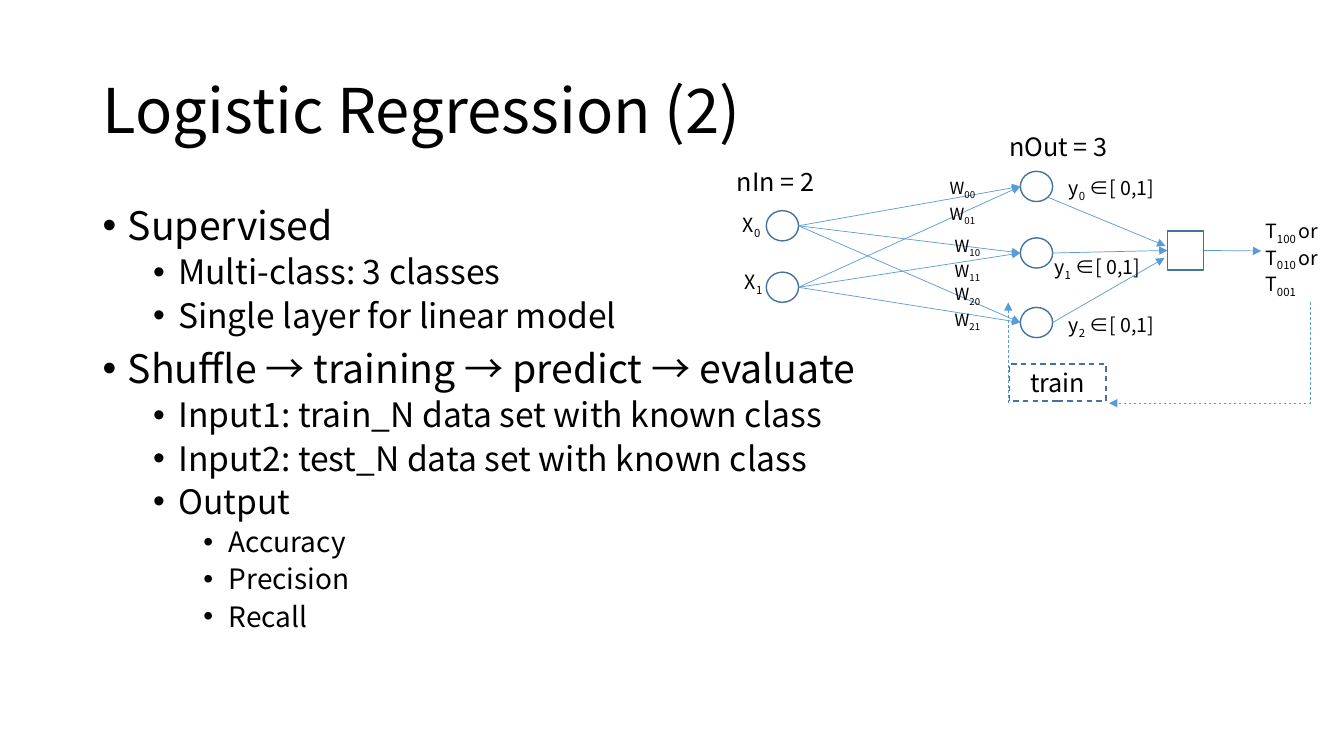
from dataclasses import dataclass
from itertools import product

from lxml.etree import SubElement
from pptx import Presentation
from pptx.dml.color import RGBColor
from pptx.enum.dml import MSO_LINE
from pptx.enum.shapes import MSO_CONNECTOR, MSO_SHAPE
from pptx.enum.text import MSO_ANCHOR, MSO_AUTO_SIZE, PP_ALIGN
from pptx.oxml.ns import qn
from pptx.shapes.base import BaseShape
from pptx.slide import Slide
from pptx.text.text import TextFrame, _Paragraph
from pptx.util import Inches, Pt

Point = tuple[float, float]


@dataclass(frozen=True)
class Theme:
    font: str = "Noto Sans CJK KR"
    text: RGBColor = RGBColor(0x00, 0x00, 0x00)
    fill: RGBColor = RGBColor(0xFF, 0xFF, 0xFF)
    outline: RGBColor = RGBColor(0x43, 0x73, 0x9E)
    arrow: RGBColor = RGBColor(0x5B, 0x9B, 0xD5)
    title: int = 44
    bullets: tuple[int, ...] = (28, 24, 20)
    caption: int = 18
    label: int = 14
    weight: int = 12


@dataclass(frozen=True)
class Bullet:
    text: str
    level: int = 0


@dataclass(frozen=True)
class Label:
    """Text whose parts between bars alternate between normal and subscript."""
    left: float
    top: float
    width: float
    height: float
    text: str
    size: int


@dataclass(frozen=True)
class Node:
    left: float
    top: float
    width: float = 0.32
    height: float = 0.3
    preset: MSO_SHAPE = MSO_SHAPE.OVAL
    dashed: bool = False

    @property
    def middle(self) -> float:
        return self.top + self.height / 2

    @property
    def entry(self) -> Point:
        return self.left, self.middle

    @property
    def exit(self) -> Point:
        return self.left + self.width, self.middle


THEME = Theme()

BULLETS = [
    Bullet("Supervised"),
    Bullet("Multi-class: 3 classes", 1),
    Bullet("Single layer for linear model", 1),
    Bullet("Shuffle → training → predict → evaluate"),
    Bullet("Input1: train_N data set with known class", 1),
    Bullet("Input2: test_N data set with known class", 1),
    Bullet("Output", 1),
    Bullet("Accuracy", 2),
    Bullet("Precision", 2),
    Bullet("Recall", 2),
]

INPUTS = [Node(7.6, top) for top in (2.09, 2.7)]
OUTPUTS = [Node(10.12, top) for top in (1.7, 2.36, 3.05)]
DECISION = Node(11.58, 2.29, 0.36, 0.39, MSO_SHAPE.RECTANGLE)
TRAIN = Node(10.01, 3.61, 0.96, 0.37, MSO_SHAPE.RECTANGLE, dashed=True)

ARROWS = [(start.exit, end.entry) for end, start in product(OUTPUTS, INPUTS)] + [
    ((10.4, 1.96), (11.56, 2.44)),
    (OUTPUTS[1].exit, DECISION.entry),
    (OUTPUTS[2].exit, (11.55, 2.56)),
    (DECISION.exit, (12.51, 2.49)),
]
FEEDBACK = [
    [(12.89, 2.92), (12.89, 3.79), (10.98, 3.79)],
    [(10.01, 3.79), (9.58, 3.79), (9.58, 3.35)],
]

WEIGHT_SPOTS = [(9.32, 1.71), (9.32, 1.97), (9.37, 2.29),
                (9.37, 2.54), (9.37, 2.77), (9.37, 3.02)]
OUTPUT_SPOTS = [(10.5, 1.7), (10.36, 2.48), (10.5, 3.06)]
LABELS = [
    Label(7.21, 1.6, 1.24, 0.4, "nIn = 2", THEME.caption),
    Label(9.91, 1.25, 1.31, 0.4, "nOut = 3", THEME.caption),
    *(Label(left, top, 0.69, 0.3, f"W|{row}{column}", THEME.weight)
      for (left, top), (row, column) in zip(WEIGHT_SPOTS, product(range(3), range(2)))),
    *(Label(left, top, 1.31, 0.34, f"y|{row}| ∈[ 0,1]", THEME.label)
      for row, (left, top) in enumerate(OUTPUT_SPOTS)),
    Label(7.27, 2.06, 0.52, 0.34, "X|0", THEME.label),
    Label(7.29, 2.63, 0.46, 0.34, "X|1", THEME.label),
    Label(12.45, 2.12, 0.88, 0.81, "T|100 |or\nT|010 |or\nT|001", THEME.label),
]


def style_paragraph(para: _Paragraph, size: int) -> None:
    para.font.size = Pt(size)
    para.font.color.rgb = THEME.text
    para.font.name = THEME.font
    SubElement(para.font._element, qn("a:ea"), typeface=THEME.font)


def add_text_frame(page: Slide, left: float, top: float, width: float, height: float) -> TextFrame:
    box = page.shapes.add_textbox(Inches(left), Inches(top), Inches(width), Inches(height))
    box.text_frame.word_wrap = True
    return box.text_frame


def add_title(page: Slide, text: str) -> None:
    title = page.shapes.title
    title.left, title.top, title.width, title.height = map(Inches, (0.92, 0.4, 11.5, 1.45))
    frame = title.text_frame
    frame.text = text
    frame.auto_size = MSO_AUTO_SIZE.NONE
    frame.vertical_anchor = MSO_ANCHOR.MIDDLE
    para = frame.paragraphs[0]
    para.alignment = PP_ALIGN.LEFT
    para.line_spacing = 0.9
    style_paragraph(para, THEME.title)


def add_bullets(page: Slide, bullets: list[Bullet]) -> None:
    frame = add_text_frame(page, 0.92, 2, 11.5, 4.76)
    frame.text = "\n".join(bullet.text for bullet in bullets)
    for index, (bullet, para) in enumerate(zip(bullets, frame.paragraphs)):
        para.level = bullet.level
        para.line_spacing = 0.9
        if index:
            para.space_before = Pt(5 if bullet.level else 10)
        properties = para._p.get_or_add_pPr()
        properties.set("marL", str(Inches(0.25 + 0.5 * bullet.level)))
        properties.set("indent", str(Inches(-0.25)))
        SubElement(properties, qn("a:buFont"), typeface="Arial")
        SubElement(properties, qn("a:buChar"), char="•")
        style_paragraph(para, THEME.bullets[bullet.level])


def add_label(page: Slide, label: Label) -> None:
    frame = add_text_frame(page, label.left, label.top, label.width, label.height)
    for index, line in enumerate(label.text.split("\n")):
        para = frame.add_paragraph() if index else frame.paragraphs[0]
        for position, part in enumerate(line.split("|")):
            span = para.add_run()
            span.text = part
            if position % 2:
                span._r.get_or_add_rPr().set("baseline", "-25000")
        style_paragraph(para, label.size)


def add_node(page: Slide, node: Node, text: str = "") -> None:
    shape = page.shapes.add_shape(node.preset, Inches(node.left), Inches(node.top),
                                  Inches(node.width), Inches(node.height))
    shape.shadow.inherit = False
    shape.fill.solid()
    shape.fill.fore_color.rgb = THEME.fill
    shape.line.color.rgb = THEME.outline
    shape.line.width = Pt(1)
    if node.dashed:
        shape.line.dash_style = MSO_LINE.DASH
    if text:
        shape.text_frame.text = text
        shape.text_frame.vertical_anchor = MSO_ANCHOR.MIDDLE
        para = shape.text_frame.paragraphs[0]
        para.alignment = PP_ALIGN.CENTER
        style_paragraph(para, THEME.caption)


def style_arrow(arrow: BaseShape, dashed: bool = False) -> None:
    arrow.line.color.rgb = THEME.arrow
    arrow.line.width = Pt(0.5)
    if dashed:
        arrow.line.dash_style = MSO_LINE.DASH
    SubElement(arrow.line._get_or_add_ln(), qn("a:tailEnd"), type="triangle")
    SubElement(arrow._element.spPr, qn("a:effectLst"))


def add_arrow(page: Slide, start: Point, end: Point) -> None:
    style_arrow(page.shapes.add_connector(MSO_CONNECTOR.STRAIGHT, *map(Inches, start + end)))


def add_feedback(page: Slide, points: list[Point]) -> None:
    """Draw a dashed arrow that turns one corner."""
    start, *rest = points
    builder = page.shapes.build_freeform(*start, scale=Inches(1))
    builder.add_line_segments(rest, close=False)
    arrow = builder.convert_to_shape()
    arrow.fill.background()
    style_arrow(arrow, dashed=True)


def main() -> None:
    deck = Presentation()
    deck.slide_width, deck.slide_height = Inches(13.33), Inches(7.5)
    page = deck.slides.add_slide(deck.slide_layouts[5])
    add_title(page, "Logistic Regression (2)")
    add_bullets(page, BULLETS)
    for node in [*INPUTS, *OUTPUTS, DECISION]:
        add_node(page, node)
    add_node(page, TRAIN, "train")
    for start, end in ARROWS:
        add_arrow(page, start, end)
    for points in FEEDBACK:
        add_feedback(page, points)
    for label in LABELS:
        add_label(page, label)
    deck.save("out.pptx")


if __name__ == "__main__":
    main()
